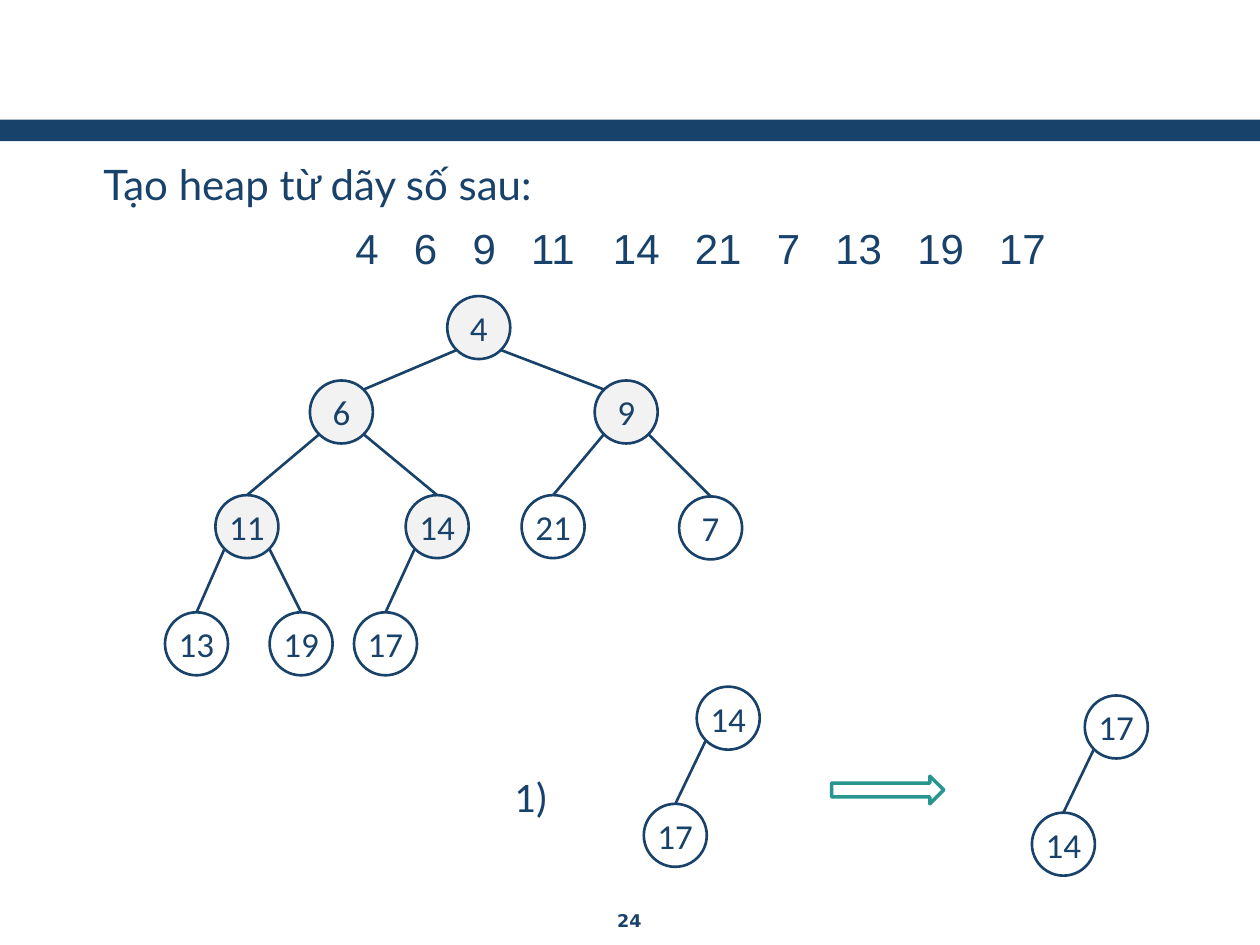
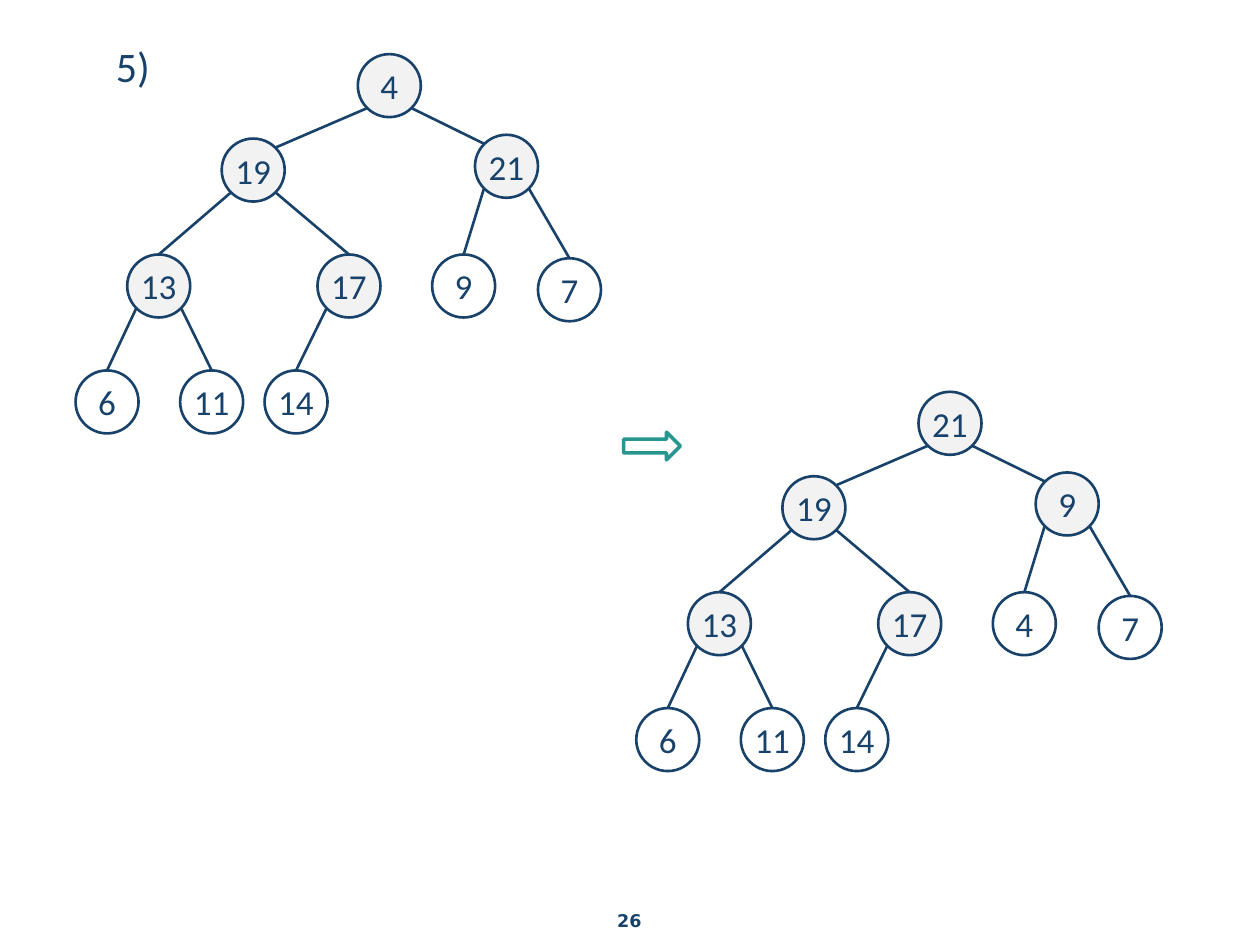
from lxml.etree import SubElement
from pptx import Presentation
from pptx.dml.color import RGBColor
from pptx.enum.shapes import MSO_CONNECTOR, MSO_SHAPE
from pptx.enum.text import MSO_ANCHOR, PP_ALIGN
from pptx.oxml.ns import qn
from pptx.util import Inches, Pt

# Shared look
NAVY, TEAL, GREY, WHITE = "19426B", "279590", "F2F2F2", "FFFFFF"
KEY = {"name": "Calibri", "size": Pt(20)}
STEP = {"name": "Calibri", "size": Pt(24)}
LEAD = {"name": "Lato", "size": Pt(24)}
LIST = {"name": "Arial", "size": Pt(24)}
PAGE = {"name": "DejaVu Sans", "size": Pt(10), "bold": True}
BODY = {"line_spacing": 1.1, "space_before": Pt(4.8)}
MID = {"alignment": PP_ALIGN.CENTER}
SIZE, BEND = 0.5, 0.18  # node width, offset of its diagonal points

# Node places relative to the root, in heap order
LOW = [(-2.24, 2.51), (-1.41, 2.51), (-0.74, 2.51)]
WIDE = [(0, 0), (-1.09, 0.67), (1.17, 0.67), (-1.84, 1.58), (-0.33, 1.58),
        (0.59, 1.58), (1.84, 1.59)] + LOW
SLIM = [(0, 0), (-1.08, 0.67), (0.93, 0.64), (-1.83, 1.59), (-0.32, 1.59),
        (0.59, 1.59), (1.43, 1.62)] + LOW
PAIR = [(0, 0), (-0.42, 0.93)]

NUMS = [4, 6, 9, 11, 14, 21, 7, 13, 19, 17]
PAGES = [
    {"page": "24", "step": ("1)", 3.48, 6.03), "arrow": (6.6, 6.16, 0.89),
     "heaps": [(3.55, 2.35, WIDE, NUMS), (5.53, 5.45, PAIR, [14, 17]),
               (8.61, 5.52, PAIR, [17, 14])]},
    {"page": "26", "step": ("5)", 0.32, 0.23), "arrow": (4.95, 3.43, 0.45),
     "heaps": [(2.84, 0.43, SLIM, [4, 19, 21, 13, 17, 9, 7, 6, 11, 14]),
               (7.29, 3.11, SLIM, [21, 19, 9, 13, 17, 4, 7, 6, 11, 14])]},
]


def paint(part, tone):
    """Give a fill or a font one solid colour."""
    if hasattr(part, "solid"):
        part.solid()
        part = part.fore_color
    else:
        part = part.color
    part.rgb = RGBColor.from_string(tone)


def write(par, text, font, form):
    """Fill a paragraph and format it."""
    run = par.add_run()
    run.text = text
    for item, look in ((run.font, font), (par, form)):
        for name, value in look.items():
            setattr(item, name, value)
    paint(run.font, NAVY)


deck = Presentation()
deck.slide_width, deck.slide_height = Inches(10), Inches(7.5)

for page in PAGES:
    slide = deck.slides.add_slide(deck.slide_layouts[6])
    shapes = slide.shapes

    # Page number
    foot = shapes.add_textbox(Inches(3.83), Inches(7.17), Inches(2.33), Inches(0.26))
    foot.text_frame.word_wrap = True
    write(foot.text_frame.paragraphs[0], page["page"], PAGE, MID)

    # Heaps
    for left, top, spots, keys in page["heaps"]:
        full = spots is not PAIR
        nodes = []
        for i, (key, (dx, dy)) in enumerate(zip(keys, spots)):
            x, y = left + dx, top + dy
            node = shapes.add_shape(MSO_SHAPE.OVAL, Inches(x), Inches(y),
                                    Inches(SIZE), Inches(SIZE))
            node.shadow.inherit = False
            paint(node.fill, GREY if full and 2 * i + 1 < len(keys) else WHITE)
            paint(node.line.fill, NAVY)
            node.line.width = Pt(1.5)
            frame = node.text_frame
            frame.margin_left = frame.margin_right = 0
            frame.vertical_anchor = MSO_ANCHOR.MIDDLE
            write(frame.paragraphs[0], str(key), KEY, MID)
            nodes.append((x + SIZE / 2, y + SIZE / 2, node))

        # Edges: odd places are left children, even ones right
        for i in range(1, len(nodes)):
            x, y, node = nodes[i]
            px, py, _ = nodes[(i - 1) // 2]
            side = -BEND if i % 2 else BEND
            edge = shapes.add_connector(
                MSO_CONNECTOR.STRAIGHT, Inches(px + side), Inches(py + BEND),
                Inches(x - side), Inches(y - BEND))
            if not full or i > 2:
                edge.end_connect(node, 0)
            paint(edge.line.fill, NAVY)
            edge.line.width = Pt(1.5)
            SubElement(edge._element.spPr, qn("a:effectLst"))

    # Step label
    text, x, y = page["step"]
    step = shapes.add_textbox(Inches(x), Inches(y), Inches(1.36), Inches(0.67))
    step.text_frame.word_wrap = True
    step.text_frame.margin_left = Inches(0.6)
    write(step.text_frame.paragraphs[0], text, STEP, BODY)

    # Arrow
    x, y, width = page["arrow"]
    arrow = shapes.add_shape(MSO_SHAPE.RIGHT_ARROW, Inches(x), Inches(y),
                             Inches(width), Inches(0.22))
    arrow.shadow.inherit = False
    paint(arrow.fill, WHITE)
    paint(arrow.line.fill, TEAL)
    arrow.line.width = Pt(2)

# Band on the first slide
shapes = deck.slides[0].shapes
band = shapes.add_shape(MSO_SHAPE.RECTANGLE, 0, Inches(0.95), Inches(10), Inches(0.17))
band.shadow.inherit = False
paint(band.fill, NAVY)
band.line.fill.background()

# Task and its numbers, set on tab stops
task = shapes.add_textbox(Inches(0.22), Inches(1.17), Inches(9.58), Inches(0.92))
frame = task.text_frame
frame.word_wrap = True
frame.margin_left = Inches(0.6)
write(frame.paragraphs[0], "Tạo heap từ dãy số sau:", LEAD, BODY)
row = frame.add_paragraph()
write(row, "".join(f"\t{num}" for num in NUMS), LIST, BODY)
tabs = SubElement(row._p.get_or_add_pPr(), qn("a:tabLst"))
stop = 2
for num in NUMS:
    SubElement(tabs, qn("a:tab"), pos=str(Inches(stop)), algn="l")
    stop += 0.28 + 0.185 * len(str(num))

deck.save("out.pptx")
